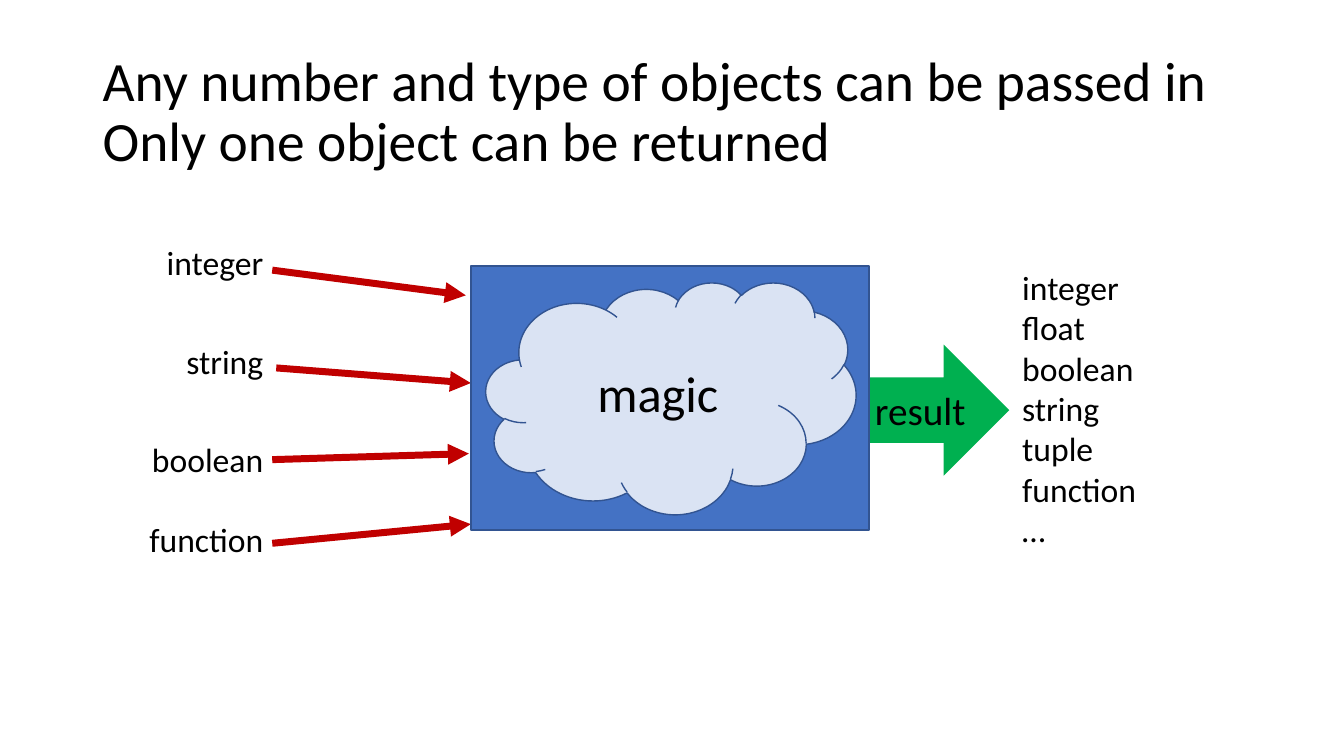
from dataclasses import dataclass

from lxml.etree import SubElement
from pptx import Presentation
from pptx.dml.color import RGBColor as Color
from pptx.enum.shapes import MSO_CONNECTOR as Connector, MSO_SHAPE as Preset
from pptx.enum.text import MSO_ANCHOR as Anchor, PP_ALIGN as Align
from pptx.oxml.ns import qn
from pptx.util import Emu, Pt

PX = 9144


@dataclass(frozen=True)
class Theme:
    font: str = "Calibri"
    text: str = "000000"
    input_arrow: str = "C00000"
    result_arrow: str = "00B050"
    box: str = "4472C4"
    cloud: str = "DAE3F3"
    outline: str = "325491"
    title_size: float = 39.6
    magic_size: int = 36
    result_size: int = 28
    label_size: int = 24
    arrow_width: int = 5
    outline_width: int = 1


THEME = Theme()


def px(*lengths):
    return [Emu(length * PX) for length in lengths]


def write(shape, text, size, align=Align.LEFT, anchor=Anchor.TOP, spacing=1.0, wrap=True):
    frame = shape.text_frame
    frame.text = text
    frame.word_wrap = wrap
    frame.vertical_anchor = anchor
    for paragraph in frame.paragraphs:
        paragraph.alignment = align
        paragraph.line_spacing = spacing
        for run in paragraph.runs:
            run.font.name = THEME.font
            run.font.size = Pt(size)
            run.font.color.rgb = Color.from_string(THEME.text)


def add_text(slide, bounds, text, size, **layout):
    write(slide.shapes.add_textbox(*px(*bounds)), text, size, **layout)


def add_block(slide, preset, bounds, fill, outline=None):
    shape = slide.shapes.add_shape(preset, *px(*bounds))
    shape.shadow.inherit = False
    shape.fill.solid()
    shape.fill.fore_color.rgb = Color.from_string(fill)
    if outline:
        shape.line.color.rgb = Color.from_string(outline)
        shape.line.width = Pt(THEME.outline_width)
    else:
        shape.line.fill.background()
    return shape


def add_arrow(slide, start, end):
    arrow = slide.shapes.add_connector(Connector.STRAIGHT, *px(*start, *end))
    arrow.line.color.rgb = Color.from_string(THEME.input_arrow)
    arrow.line.width = Pt(THEME.arrow_width)
    SubElement(arrow.line._get_or_add_ln(), qn("a:tailEnd"), type="triangle")
    SubElement(arrow._element.spPr, qn("a:effectLst"))


def add_input(slide, name, top, start, end):
    add_arrow(slide, start, end)
    add_text(slide, (118, top, 153, 50), name, THEME.label_size, align=Align.RIGHT)


def main():
    presentation = Presentation()
    presentation.slide_width, presentation.slide_height = px(1333, 750)
    slide = presentation.slides.add_slide(presentation.slide_layouts[6])

    title = "Any number and type of objects can be passed in\vOnly one object can be returned"
    add_text(slide, (92, 40, 1150, 145), title, THEME.title_size,
             anchor=Anchor.MIDDLE, spacing=0.9)

    inputs = [
        ("integer", 235, (270, 268), (462, 293)),
        ("string", 333, (274, 365), (467, 380)),
        ("boolean", 431, (270, 456), (465, 450)),
        ("function", 510, (270, 539), (467, 520)),
    ]
    for name, top, start, end in inputs:
        add_input(slide, name, top, start, end)

    result = add_block(slide, Preset.RIGHT_ARROW, (857, 342, 144, 130), THEME.result_arrow)
    write(result, "result", THEME.result_size, align=Align.CENTER,
          anchor=Anchor.MIDDLE, wrap=False)

    outputs = ["integer", "float", "boolean", "string", "tuple", "function", "…"]
    add_text(slide, (1004, 260, 179, 293), "\n".join(outputs), THEME.label_size)

    add_block(slide, Preset.RECTANGLE, (467, 264, 395, 262), THEME.box, THEME.outline)
    cloud = add_block(slide, Preset.CLOUD, (482, 280, 367, 230), THEME.cloud, THEME.outline)
    write(cloud, "magic", THEME.magic_size, align=Align.CENTER, anchor=Anchor.MIDDLE)

    presentation.save("out.pptx")


if __name__ == "__main__":
    main()
